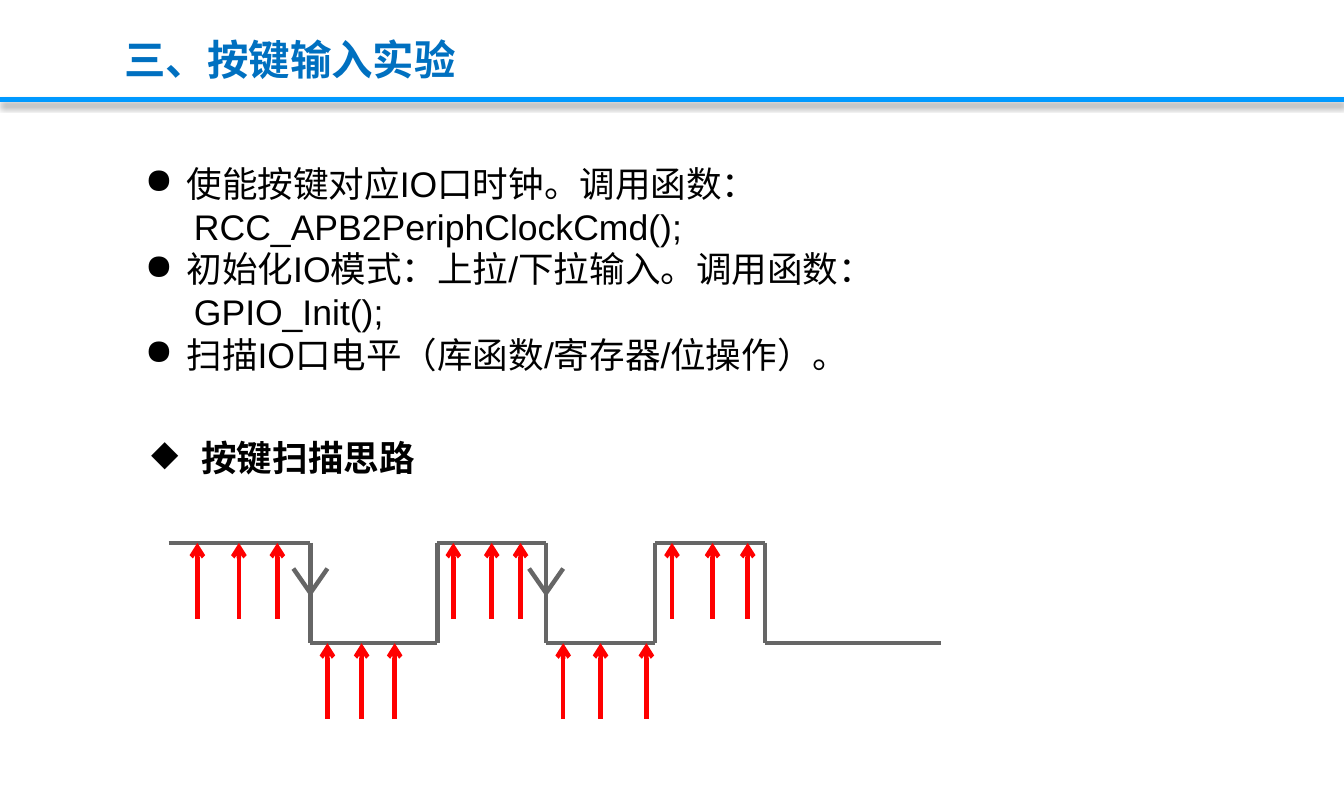
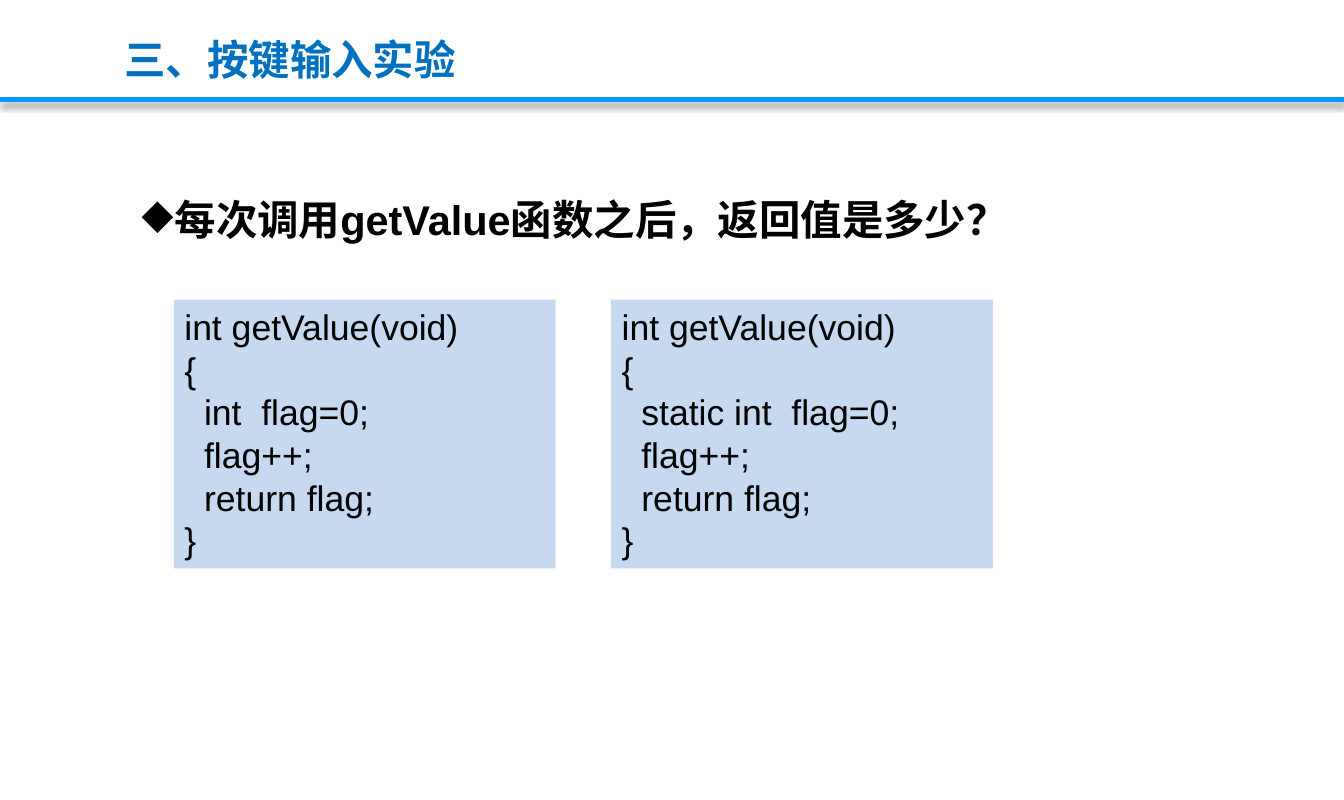
"""Build two slides about the key input experiment."""
import pptx
import pptx.util
import pptx.dml.color
import pptx.enum.shapes
import pptx.enum.text
import pptx.oxml
import pptx.oxml.ns

Inches = pptx.util.Inches
Pt = pptx.util.Pt
RGBColor = pptx.dml.color.RGBColor
Align = pptx.enum.text.PP_ALIGN

BLACK = RGBColor(0x00, 0x00, 0x00)
TITLE = RGBColor(0x00, 0x70, 0xC0)
BAND = RGBColor(0x00, 0x99, 0xFF)
WAVE = RGBColor(0x66, 0x66, 0x66)
PROBE = RGBColor(0xFF, 0x00, 0x00)
PANEL = RGBColor(0xC6, 0xD9, 0xF1)

LATIN = "Arial"
ASIAN = "Noto Sans CJK SC"
WIDE, HIGH = 12.6, 7.5

SHADOW = (
    '<a:outerShdw blurRad="50800" dist="38100" dir="5400000" algn="t" rotWithShape="0">'
    '<a:srgbClr val="000000"><a:alpha val="40000"/></a:srgbClr></a:outerShdw>'
)


def make_node(tag, inner="", **attrs):
    """Return a drawing element with the given attributes and content."""
    text = "".join(f' {key}="{value}"' for key, value in attrs.items())
    space = pptx.oxml.ns.nsdecls("a")
    return pptx.oxml.parse_xml(f"<a:{tag} {space}{text}>{inner}</a:{tag}>")


def draw_line(slide, start, end, color, width=3, arrow=False, effect=""):
    """Draw a straight line between two points."""
    line = slide.shapes.add_connector(
        pptx.enum.shapes.MSO_CONNECTOR.STRAIGHT,
        *(Inches(value) for value in (*start, *end)))
    line.line.color.rgb = color
    line.line.width = Pt(width)
    if arrow:
        line.line._get_or_add_ln().append(make_node("tailEnd", type="arrow"))
    line._element.spPr.append(make_node("effectLst", effect))


def fill_text(frame, lines, size, bold=False, color=BLACK, font=LATIN, align=Align.LEFT):
    """Write lines given as text, bullet, left margin and hanging indent."""
    frame.word_wrap = True
    frame.vertical_anchor = pptx.enum.text.MSO_ANCHOR.TOP
    for index, (text, bullet, margin, hang) in enumerate(lines):
        para = frame.paragraphs[0] if index == 0 else frame.add_paragraph()
        para.alignment = align
        para.line_spacing = Pt(size * 1.2)
        props = para._p.get_or_add_pPr()
        props.set("marL", str(Inches(margin)))
        props.set("indent", str(Inches(-hang)))
        if bullet:
            props.append(make_node("buChar", char=bullet))
        run = para.add_run()
        run.text = text
        run.font.name = font
        run.font.size = Pt(size)
        run.font.bold = bold
        run.font.color.rgb = color
        run._r.get_or_add_rPr().append(make_node("ea", typeface=ASIAN))


def add_text(slide, box, lines, size, **style):
    """Place a text box in the given box."""
    shape = slide.shapes.add_textbox(*(Inches(value) for value in box))
    fill_text(shape.text_frame, lines, size, **style)


def add_slide(deck):
    """Add a blank slide with the shared title and band."""
    slide = deck.slides.add_slide(deck.slide_layouts[6])
    add_text(slide, (0.22, 0.27, 5, 0.6), [("三、按键输入实验", "", 0, 0)], 28,
             bold=True, color=TITLE, font=ASIAN, align=Align.CENTER)
    draw_line(slide, (0, 0.93), (WIDE, 0.93), BAND, 3.5, effect=SHADOW)
    return slide


def draw_wave(slide, left, top):
    """Draw the key level wave with its falling edges and sampling arrows."""
    edges = (0, 1.33, 2.52, 3.54, 4.56, 5.59, 7.24)
    probes = ((0.27, 0.66, 1.02), (1.49, 1.81, 2.12), (2.67, 3.03, 3.3),
              (3.7, 4.05, 4.48), (4.72, 5.1, 5.43), ())
    drop, reach = 0.94, 0.71
    for index, marks in enumerate(probes):
        begin, end = left + edges[index], left + edges[index + 1]
        level = top + drop * (index % 2)
        other = top + drop * (1 - index % 2)
        draw_line(slide, (begin, level), (end, level), WAVE)
        if marks:
            draw_line(slide, (end, level), (end, other), WAVE)
        for mark in marks:
            draw_line(slide, (left + mark, level + reach), (left + mark, level),
                      PROBE, arrow=True)
    for edge in (edges[1], edges[3]):
        for side in (-0.16, 0.16):
            draw_line(slide, (left + edge + side, top + 0.24),
                      (left + edge, top + 0.47), WAVE)


def add_code(slide, box, code):
    """Place a filled code panel in the given box."""
    panel = slide.shapes.add_shape(pptx.enum.shapes.MSO_SHAPE.RECTANGLE,
                                   *(Inches(value) for value in box))
    panel.shadow.inherit = False
    panel.fill.solid()
    panel.fill.fore_color.rgb = PANEL
    panel.line.fill.background()
    fill_text(panel.text_frame, [(row, "", 0, 0) for row in code], 24)


def scan_slide(deck):
    """Build the slide on key scanning."""
    slide = add_slide(deck)
    steps = (
        ("使能按键对应IO口时钟。调用函数：", "RCC_APB2PeriphClockCmd();"),
        ("初始化IO模式：上拉/下拉输入。调用函数：", "GPIO_Init();"),
        ("扫描IO口电平（库函数/寄存器/位操作）。", ""),
    )
    lines = []
    for step, call in steps:
        lines.append((step, "●", 0.39, 0.39))
        if call:
            lines.append((call, "", 0.46, 0))
    add_text(slide, (1.26, 1.47, 7.92, 2.12), lines, 24)
    add_text(slide, (1.26, 4.04, 9.1, 0.51), [("按键扫描思路", "◆", 0.53, 0.47)],
             24, bold=True)
    draw_wave(slide, 1.58, 5.09)


def value_slide(deck):
    """Build the slide that compares two functions."""
    slide = add_slide(deck)
    add_text(slide, (1.23, 1.77, 8.6, 0.57),
             [("每次调用getValue函数之后，返回值是多少？", "◆", 0.31, 0.31)], 28, bold=True)
    for index, kind in enumerate(("int", "static int")):
        code = ("int getValue(void)", "{", f"  {kind}  flag=0;",
                "  flag++;", "  return flag;", "}")
        add_code(slide, (1.63 + 4.1 * index, 2.81, 3.58, 2.52), code)


def main():
    """Build and save the deck."""
    deck = pptx.Presentation()
    deck.slide_width = Inches(WIDE)
    deck.slide_height = Inches(HIGH)
    scan_slide(deck)
    value_slide(deck)
    deck.save("out.pptx")


if __name__ == "__main__":
    main()
